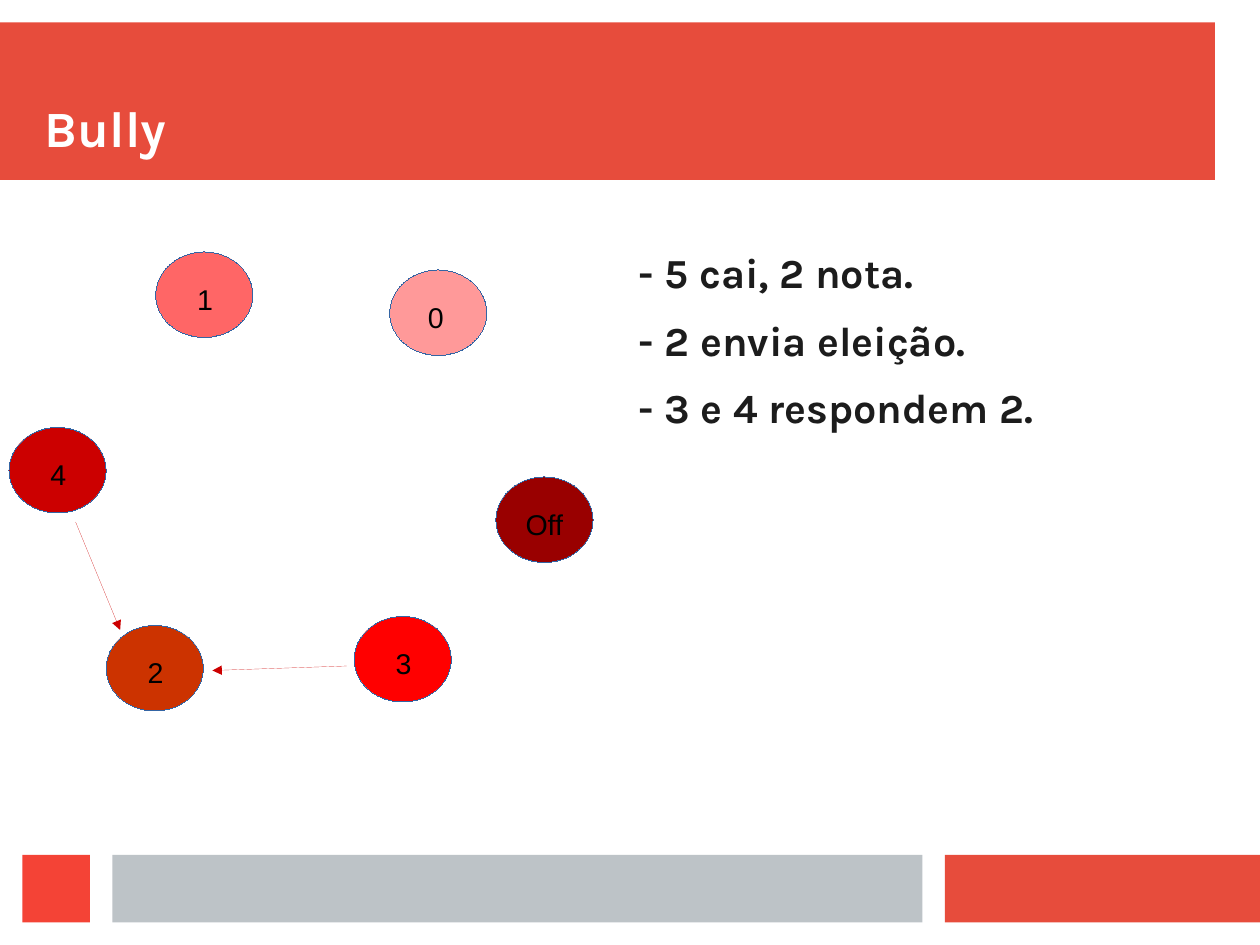
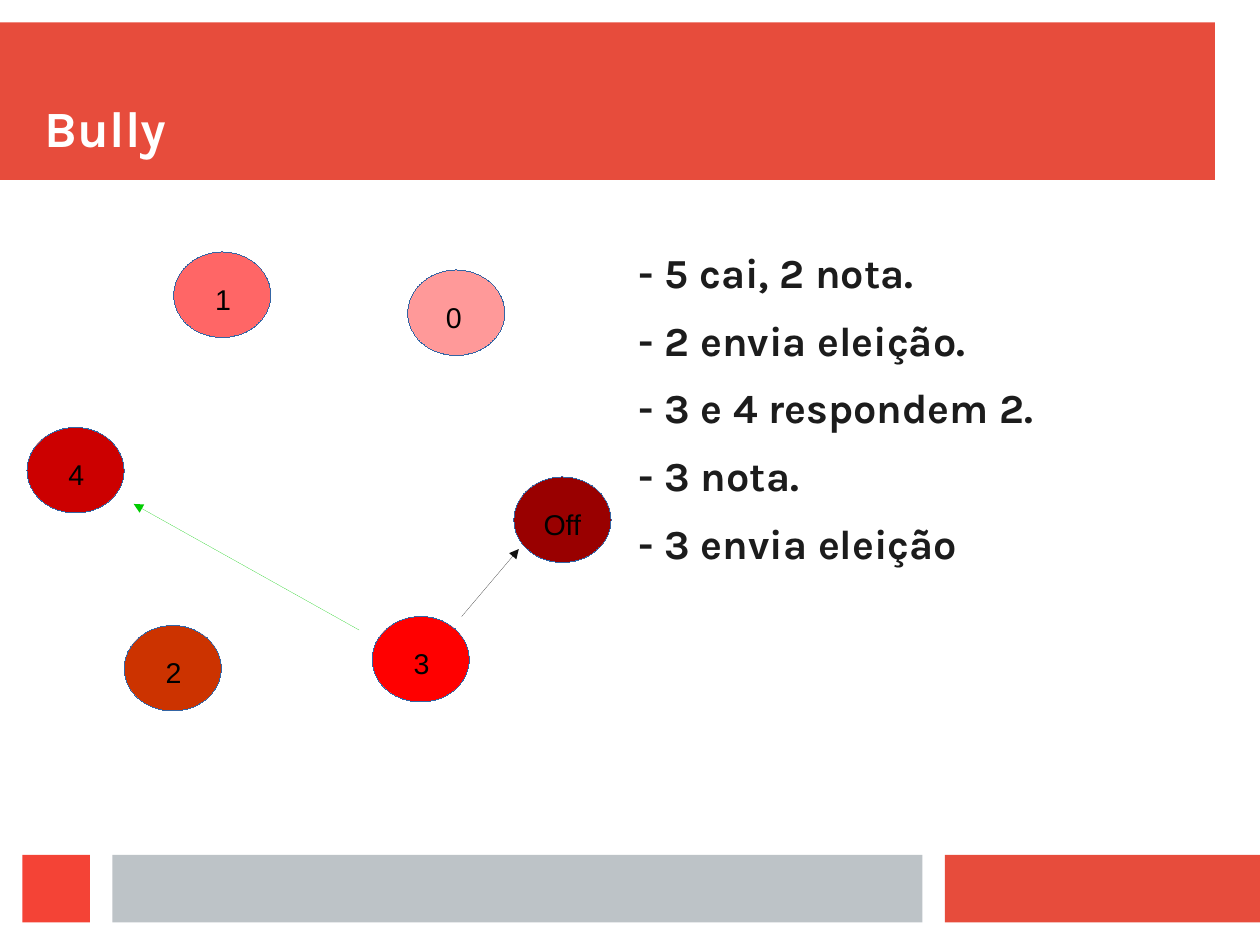
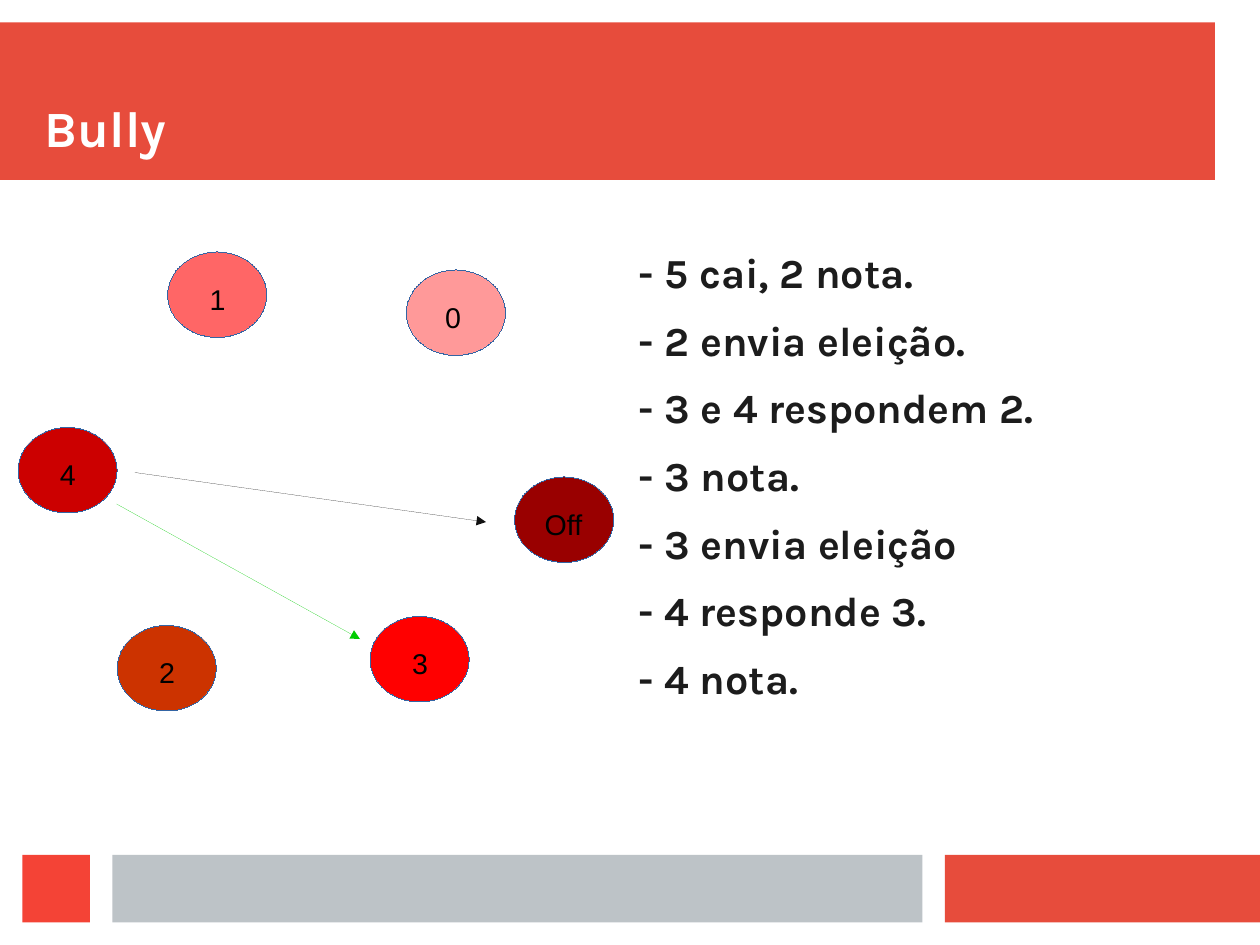
from dataclasses import dataclass

from lxml.etree import SubElement
from pptx import Presentation
from pptx.dml.color import RGBColor
from pptx.enum.shapes import MSO_CONNECTOR, MSO_SHAPE
from pptx.enum.text import MSO_ANCHOR as Anchor
from pptx.oxml.ns import qn
from pptx.util import Cm, Pt

# Shared style
RED, GREY, BRIGHT_RED = "E74C3C", "BDC3C7", "F44336"
WHITE, BLACK, INK, OUTLINE = "FFFFFF", "000000", "1C1C1C", "3465A4"
ARROW_RED, ARROW_GREEN, ARROW_BLACK = "CC0000", "00CC00", "111111"
HEADING_FONT, LABEL_FONT = "Karla", "Arial"
NODE_WIDTH, NODE_HEIGHT = 2.16, 1.9


# All lengths below are in centimetres
@dataclass(frozen=True)
class Band:
    left: float
    top: float
    width: float
    height: float
    color: str


@dataclass(frozen=True)
class Node:
    label: str
    offset: float  # from the left edge of the ring
    top: float
    color: str
    label_offset: float = 0.67
    label_width: float = 0.84
    label_height: float = 0.97


@dataclass(frozen=True)
class Arrow:
    start: tuple[float, float]
    end: tuple[float, float]
    color: str


@dataclass(frozen=True)
class Step:
    ring_left: float
    stretch: float  # horizontal scale of the ring
    line_count: int
    arrows: tuple[Arrow, ...]


BANDS = (
    Band(0, 0.5, 27, 3.5, RED),
    Band(21, 19, 7, 1.5, RED),
    Band(2.5, 19, 18, 1.5, GREY),
    Band(0.5, 19, 1.5, 1.5, BRIGHT_RED),
)

NODES = (
    Node("4", 0, 9.5, "CC0000", label_width=1.24, label_height=1.47),
    Node("2", 2.16, 13.9, "CC3300"),
    Node("3", 7.67, 13.7, "FF0000"),
    Node("Off", 10.82, 10.6, "990000", 0.41, 1.48, 1.68),
    Node("0", 8.46, 6, "FF9999", 0.6, 1.17, 1.27),
    Node("1", 3.26, 5.6, "FF6666", label_height=1.37),
)

LINES = (
    "- 5 cai, 2 nota.",
    "- 2 envia eleição.",
    "- 3 e 4 respondem 2.",
    "- 3 nota.",
    "- 3 envia eleição",
    "- 4 responde 3.",
    "- 4 nota.",
)

STEPS = (
    Step(0.2, 1, 3, (
        Arrow((7.7, 14.8), (4.72, 14.9), ARROW_RED),
        Arrow((1.68, 11.6), (2.67, 14), ARROW_RED),
    )),
    Step(0.6, 1, 5, (
        Arrow((10.26, 13.7), (11.53, 12.2), ARROW_BLACK),
        Arrow((7.98, 14), (2.97, 11.2), ARROW_GREEN),
    )),
    Step(0.4, 1.02, 7, (
        Arrow((3, 10.5), (10.8, 11.6), ARROW_BLACK),
        Arrow((2.59, 11.2), (8, 14.2), ARROW_GREEN),
    )),
)


def rgb(color: str) -> RGBColor:
    return RGBColor.from_string(color)


def set_hairline(shape, color: str):
    """Give a shape the thinnest line and return its line element."""
    shape.line.color.rgb = rgb(color)
    line = shape.element.spPr.get_or_add_ln()
    line.set("w", "0")
    return line


def add_text(shapes, area: tuple[float, float, float, float], lines: tuple[str, ...],
             font: str, size: float, color: str, bold: bool = False,
             anchor: Anchor = Anchor.TOP, inset: tuple[float, float] = (0, 0),
             space_after: float = 0) -> None:
    box = shapes.add_textbox(*map(Cm, area))
    frame = box.text_frame
    frame.word_wrap = True
    frame.vertical_anchor = anchor
    frame.margin_left = frame.margin_right = Cm(inset[0])
    frame.margin_top = frame.margin_bottom = Cm(inset[1])
    frame.text = "\n".join(lines)
    for para in frame.paragraphs:
        para.space_after = Pt(space_after)
        for span in para.runs:
            span.font.name = font
            span.font.size = Pt(size)
            span.font.bold = bold
            span.font.color.rgb = rgb(color)


def add_filled(shapes, preset: MSO_SHAPE, area: tuple[float, float, float, float],
               color: str):
    shape = shapes.add_shape(preset, *map(Cm, area))
    shape.shadow.inherit = False
    shape.fill.solid()
    shape.fill.fore_color.rgb = rgb(color)
    return shape


def add_arrow(shapes, arrow: Arrow) -> None:
    connector = shapes.add_connector(
        MSO_CONNECTOR.STRAIGHT, *map(Cm, arrow.start + arrow.end))
    line = set_hairline(connector, arrow.color)
    SubElement(line, qn("a:tailEnd"), type="triangle")
    SubElement(connector.element.spPr, qn("a:effectLst"))


def add_frame(page) -> None:
    """Draw the bands and the title that every slide has."""
    for band in BANDS:
        area = (band.left, band.top, band.width, band.height)
        add_filled(page.shapes, MSO_SHAPE.RECTANGLE, area, band.color).line.fill.background()
    add_text(page.shapes, (1, 1, 26, 2.5), ("Bully",), HEADING_FONT, 32, WHITE,
             bold=True, anchor=Anchor.BOTTOM)


def add_ring(page, step: Step) -> None:
    """Draw the processes, the messages and the labels as one group."""
    ring = page.shapes.add_group_shape().shapes
    for node in NODES:
        area = (step.ring_left + node.offset * step.stretch, node.top,
                NODE_WIDTH * step.stretch, NODE_HEIGHT)
        set_hairline(add_filled(ring, MSO_SHAPE.OVAL, area, node.color), OUTLINE)
    for arrow in step.arrows:
        add_arrow(ring, arrow)
    for node in NODES:
        left = step.ring_left + (node.offset + node.label_offset) * step.stretch
        area = (left, node.top + 0.53, node.label_width * step.stretch, node.label_height)
        add_text(ring, area, (node.label,), LABEL_FONT, 18, BLACK, inset=(0.25, 0.13))


def main() -> None:
    deck = Presentation()
    deck.slide_width, deck.slide_height = Cm(28), Cm(21)
    blank = deck.slide_layouts[6]
    for step in STEPS:
        page = deck.slides.add_slide(blank)
        add_frame(page)
        add_text(page.shapes, (14.2, 5.5, 12.3, 13), LINES[:step.line_count],
                 HEADING_FONT, 26, INK, bold=True, space_after=11.4)
        add_ring(page, step)
    deck.save("out.pptx")


if __name__ == "__main__":
    main()
